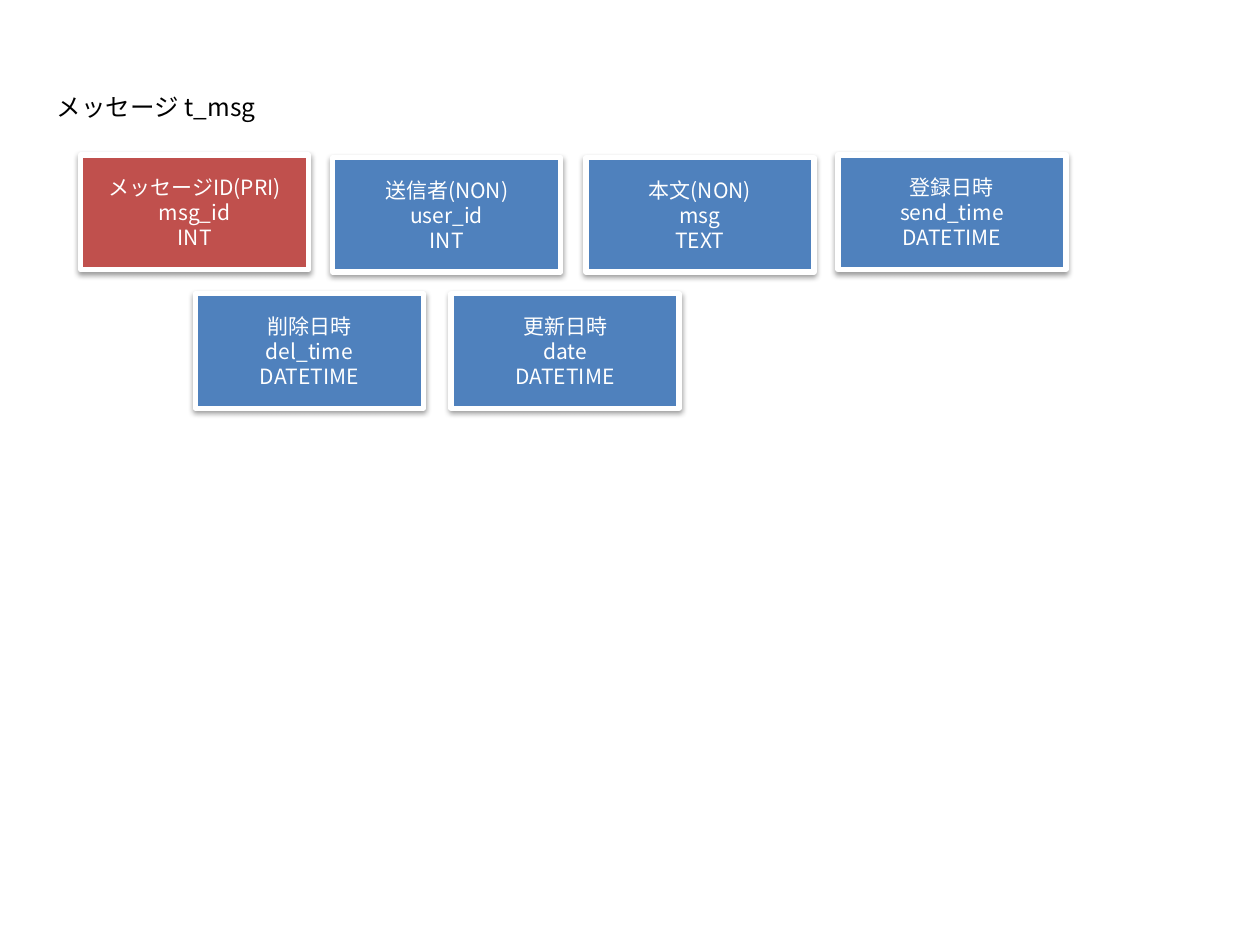
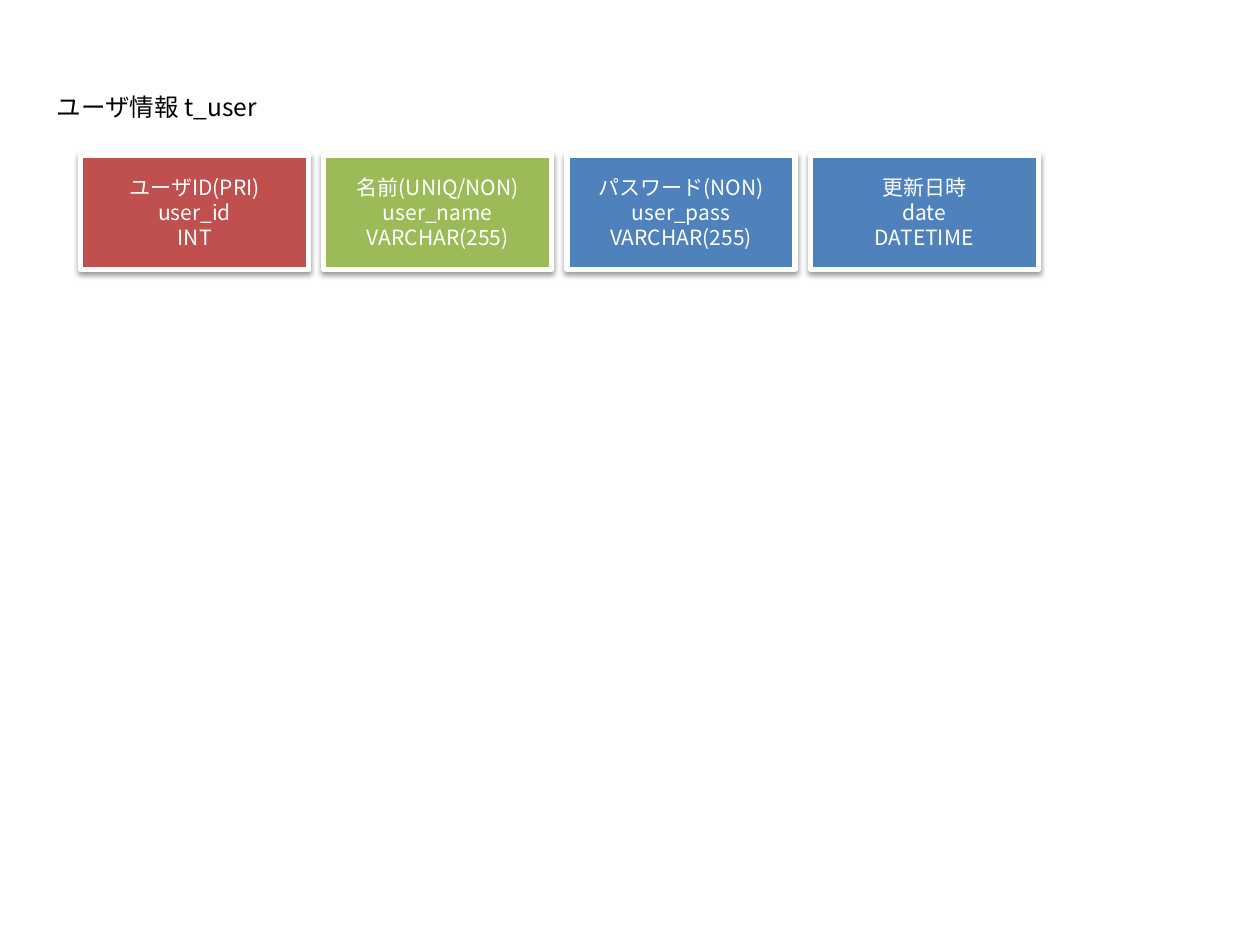
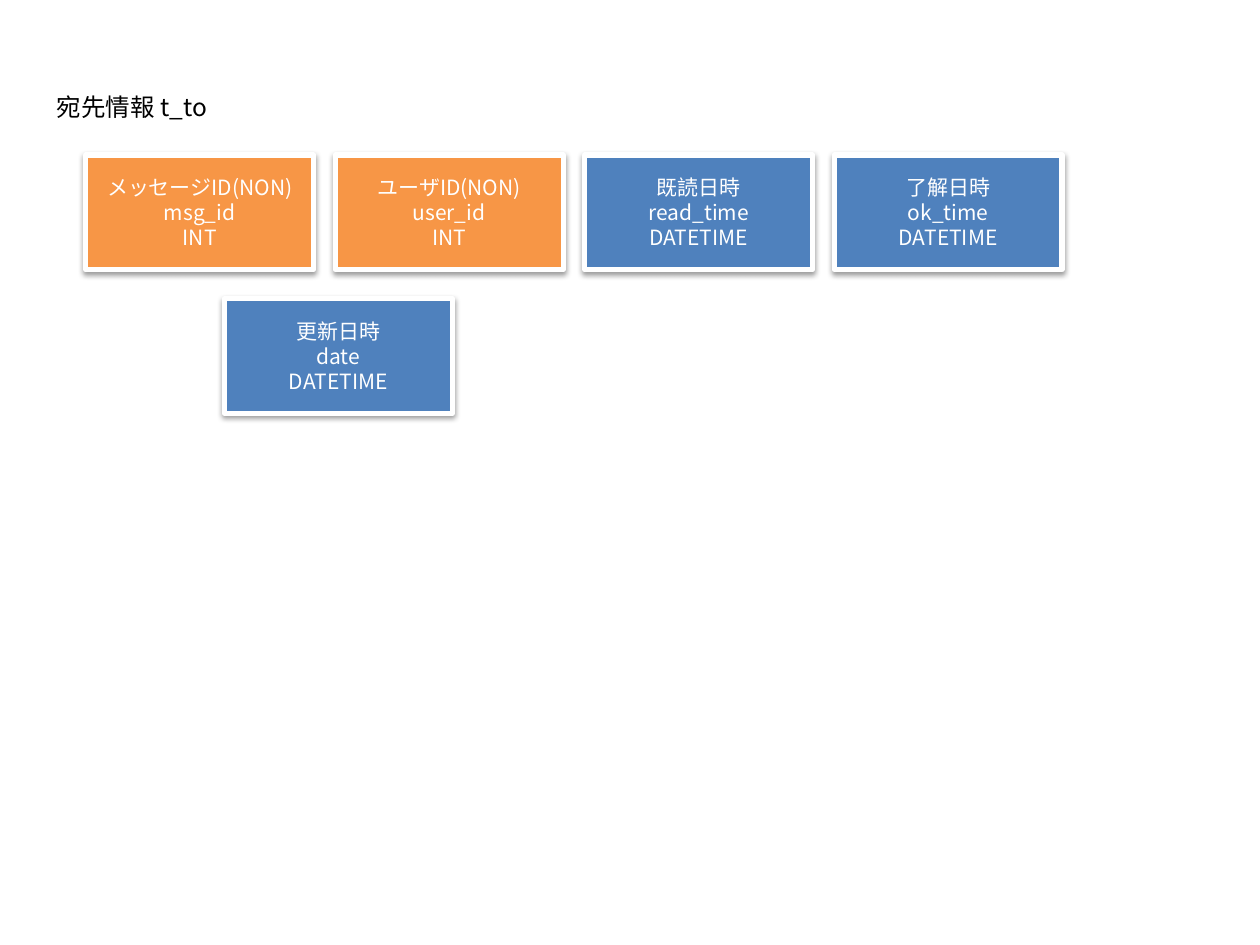
from lxml.etree import SubElement
from pptx import Presentation
from pptx.dml.color import RGBColor
from pptx.enum.shapes import MSO_SHAPE
from pptx.enum.text import MSO_ANCHOR, MSO_AUTO_SIZE, PP_ALIGN
from pptx.oxml.ns import qn
from pptx.util import Inches, Pt

FONT = "Noto Sans CJK JP"
BLACK = RGBColor(0x00, 0x00, 0x00)
WHITE = RGBColor(0xFF, 0xFF, 0xFF)
RED = RGBColor(0xC0, 0x50, 0x4D)
GREEN = RGBColor(0x9B, 0xBB, 0x59)
BLUE = RGBColor(0x4F, 0x81, 0xBD)
ORANGE = RGBColor(0xF7, 0x96, 0x46)

BOX_W, BOX_H = 1.81, 0.91
TITLE_X, TITLE_Y, TITLE_H = 0.35, 0.68, 0.34
TOP = 1.23

UPDATED = ("更新日時", "date", "DATETIME", BLUE)

# Each table: title, title width, rows of (left, top, pitch, fields)
TABLES = [
    ("メッセージ t_msg", 1.85, [
        (0.64, TOP, 6.01, [("メッセージID(PRI)", "msg_id", "INT", RED),
                           ("登録日時", "send_time", "DATETIME", BLUE)]),
        (2.64, 1.25, 2.01, [("送信者(NON)", "user_id", "INT", BLUE),
                            ("本文(NON)", "msg", "TEXT", BLUE)]),
        (1.55, 2.33, 2.03, [("削除日時", "del_time", "DATETIME", BLUE), UPDATED]),
    ]),
    ("ユーザ情報 t_user", 1.86, [
        (0.64, TOP, 1.93, [("ユーザID(PRI)", "user_id", "INT", RED),
                           ("名前(UNIQ/NON)", "user_name", "VARCHAR(255)", GREEN),
                           ("パスワード(NON)", "user_pass", "VARCHAR(255)", BLUE),
                           UPDATED]),
    ]),
    ("宛先情報 t_to", 1.44, [
        (0.68, TOP, 1.98, [("メッセージID(NON)", "msg_id", "INT", ORANGE),
                           ("ユーザID(NON)", "user_id", "INT", ORANGE),
                           ("既読日時", "read_time", "DATETIME", BLUE),
                           ("了解日時", "ok_time", "DATETIME", BLUE)]),
        (1.78, 2.37, 0, [UPDATED]),
    ]),
]


def write(tf, lines, size, color, align, anchor):
    tf.vertical_anchor = anchor
    for i, line in enumerate(lines):
        p = tf.add_paragraph() if i else tf.paragraphs[0]
        p.alignment = align
        r = p.add_run()
        r.text = line
        r.font.size = Pt(size)
        r.font.color.rgb = color
        r.font.name = FONT
        SubElement(r.font._element, qn("a:ea"), typeface=FONT)


def add_shadow(sp):
    sp.shadow.inherit = False
    effects = sp._element.spPr.find(qn("a:effectLst"))
    shadow = SubElement(effects, qn("a:outerShdw"), blurRad=str(Pt(3.1)),
                        dist=str(Pt(1.6)), dir="5400000", rotWithShape="0")
    color = SubElement(shadow, qn("a:srgbClr"), val=str(BLACK))
    SubElement(color, qn("a:alpha"), val="38000")


def add_title(s, text, width):
    sp = s.shapes.title
    sp.left, sp.top = Inches(TITLE_X), Inches(TITLE_Y)
    sp.width, sp.height = Inches(width), Inches(TITLE_H)
    tf = sp.text_frame
    tf.word_wrap = False
    tf.auto_size = MSO_AUTO_SIZE.SHAPE_TO_FIT_TEXT
    write(tf, [text], size=14, color=BLACK, align=PP_ALIGN.LEFT, anchor=MSO_ANCHOR.TOP)


def add_field(s, x, y, lines, fill):
    sp = s.shapes.add_shape(MSO_SHAPE.RECTANGLE, Inches(x), Inches(y),
                            Inches(BOX_W), Inches(BOX_H))
    sp.fill.solid()
    sp.fill.fore_color.rgb = fill
    sp.line.color.rgb = WHITE
    sp.line.width = Pt(3)
    add_shadow(sp)
    write(sp.text_frame, lines, size=12, color=WHITE,
          align=PP_ALIGN.CENTER, anchor=MSO_ANCHOR.MIDDLE)


def main():
    prs = Presentation()
    prs.slide_width, prs.slide_height = Inches(10), Inches(7.5)
    for title, width, rows in TABLES:
        s = prs.slides.add_slide(prs.slide_layouts[5])
        add_title(s, title, width)
        for left, top, pitch, fields in rows:
            for i, (*lines, fill) in enumerate(fields):
                add_field(s, left + i * pitch, top, lines, fill)
    prs.save("out.pptx")


if __name__ == "__main__":
    main()
